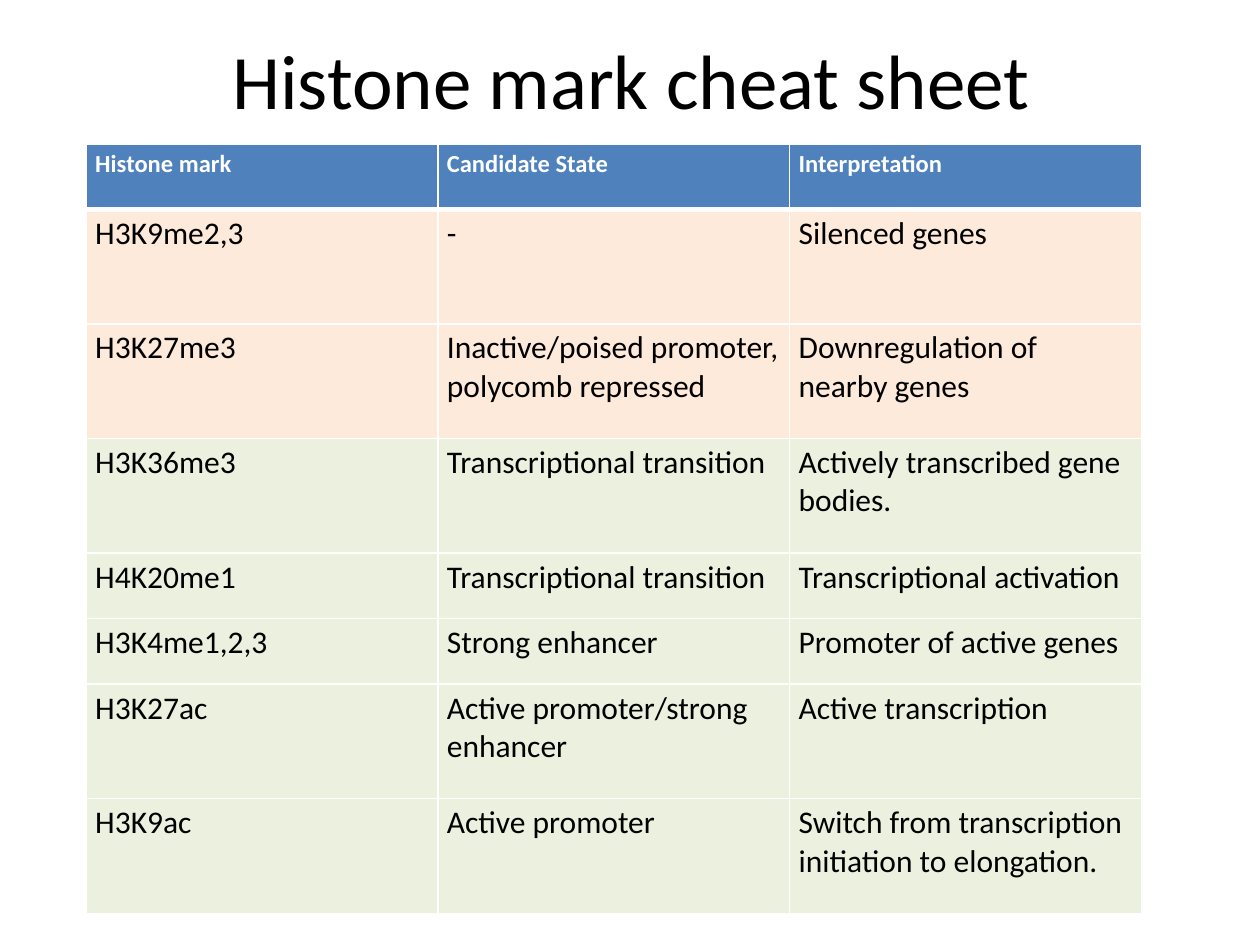
from lxml.etree import SubElement
from pptx import Presentation
from pptx.dml.color import RGBColor
from pptx.enum.text import MSO_ANCHOR as Anchor, PP_ALIGN as Align
from pptx.oxml.ns import qn
from pptx.util import Cm, Pt

FONT = "Calibri"
WHITE, BLACK, BLUE = "FFFFFF", "000000", "4F81BD"
REPRESSIVE, ACTIVE = "FDEADA", "EBF1DE"
SHORT, TALL = 1.32, 2.31

HEADINGS = ("Histone mark", "Candidate State", "Interpretation")
MARKS = [
    (TALL, REPRESSIVE, ("H3K9me2,3", "-", "Silenced genes")),
    (TALL, REPRESSIVE, ("H3K27me3", "Inactive/poised promoter, polycomb repressed",
                        "Downregulation of nearby genes")),
    (TALL, ACTIVE, ("H3K36me3", "Transcriptional transition",
                    "Actively transcribed gene bodies.")),
    (SHORT, ACTIVE, ("H4K20me1", "Transcriptional transition",
                     "Transcriptional activation")),
    (SHORT, ACTIVE, ("H3K4me1,2,3", "Strong enhancer", "Promoter of active genes")),
    (TALL, ACTIVE, ("H3K27ac", "Active promoter/strong enhancer",
                    "Active transcription")),
    (TALL, ACTIVE, ("H3K9ac", "Active promoter",
                    "Switch from transcription initiation to elongation.")),
]


def color(value):
    """Turn a hex string into a colour."""
    return RGBColor.from_string(value)


def add_span(para, text, size, ink, bold=False):
    """Add one formatted run to a paragraph."""
    span = para.add_run()
    span.text = text
    span.font.name = FONT
    span.font.size = Pt(size)
    span.font.bold = bold
    span.font.color.rgb = color(ink)


def add_borders(cell, top=1, bottom=1):
    """Draw white lines of the given point widths around a cell."""
    properties = cell._tc.get_or_add_tcPr()
    for side, width in (("L", 1), ("R", 1), ("T", top), ("B", bottom)):
        line = SubElement(properties, qn(f"a:ln{side}"), w=str(Pt(width)))
        fill = SubElement(line, qn("a:solidFill"))
        SubElement(fill, qn("a:srgbClr"), val=WHITE)


def add_title(page, left, top, width, height):
    """Place the centred slide title."""
    box = page.shapes.add_textbox(Cm(left), Cm(top), Cm(width), Cm(height))
    frame = box.text_frame
    frame.word_wrap = True
    frame.vertical_anchor = Anchor.MIDDLE
    para = frame.paragraphs[0]
    para.alignment = Align.CENTER
    add_span(para, "Histone mark cheat sheet", 44, BLACK)


def add_mark_table(page, left, top, width):
    """Place the table of histone marks, its columns sharing the width equally."""
    rows = [(SHORT, BLUE, HEADINGS)] + MARKS
    height = sum(row[0] for row in rows)
    table = page.shapes.add_table(len(rows), len(HEADINGS), Cm(left), Cm(top),
                                  Cm(width), Cm(height)).table
    for column in table.columns:
        column.width = Cm(width / len(HEADINGS))
    for index, (row_height, fill, texts) in enumerate(rows):
        header = index == 0
        table.rows[index].height = Cm(row_height)
        for cell, text in zip(table.rows[index].cells, texts):
            add_borders(cell, top=3 if index == 1 else 1, bottom=3 if header else 1)
            cell.fill.solid()
            cell.fill.fore_color.rgb = color(fill)
            cell.margin_left = cell.margin_right = Cm(0.18)
            cell.margin_top = cell.margin_bottom = Cm(0.1)
            add_span(cell.text_frame.paragraphs[0], text, 14 if header else 18,
                     WHITE if header else BLACK, header)


def main():
    """Build and save the slide."""
    deck = Presentation()
    deck.slide_width, deck.slide_height = Cm(25.4), Cm(19.05)
    page = deck.slides.add_slide(deck.slide_layouts[6])
    add_mark_table(page, 1.74, 2.9, 21.27)
    add_title(page, 1.3, 0, 22.86, 3.18)
    deck.save("out.pptx")


if __name__ == "__main__":
    main()
